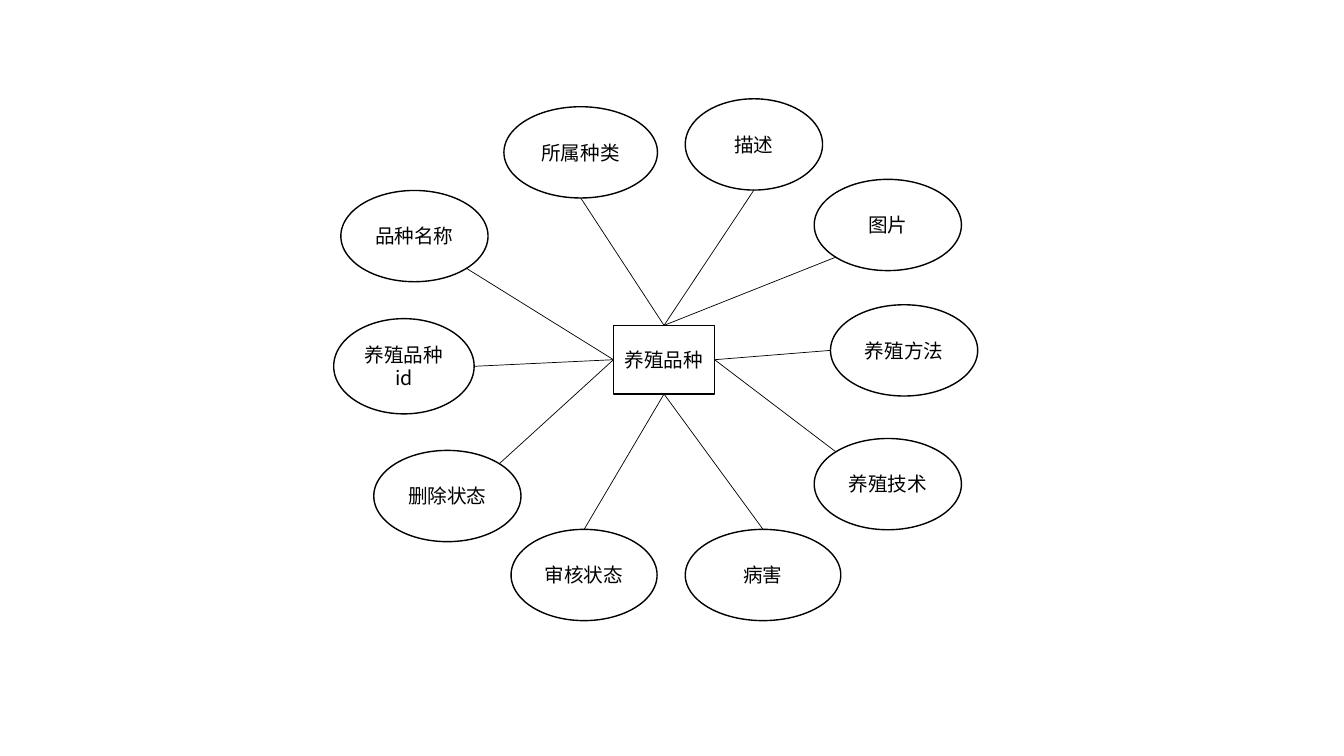
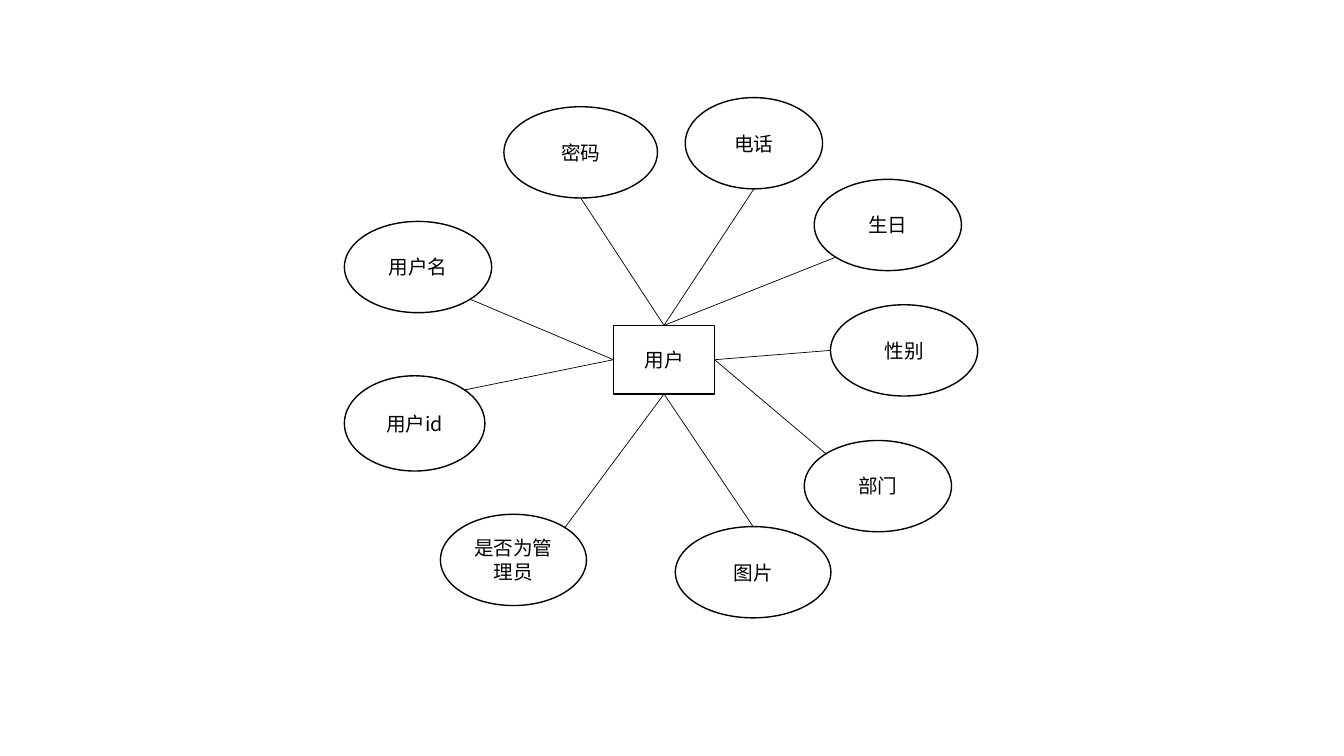
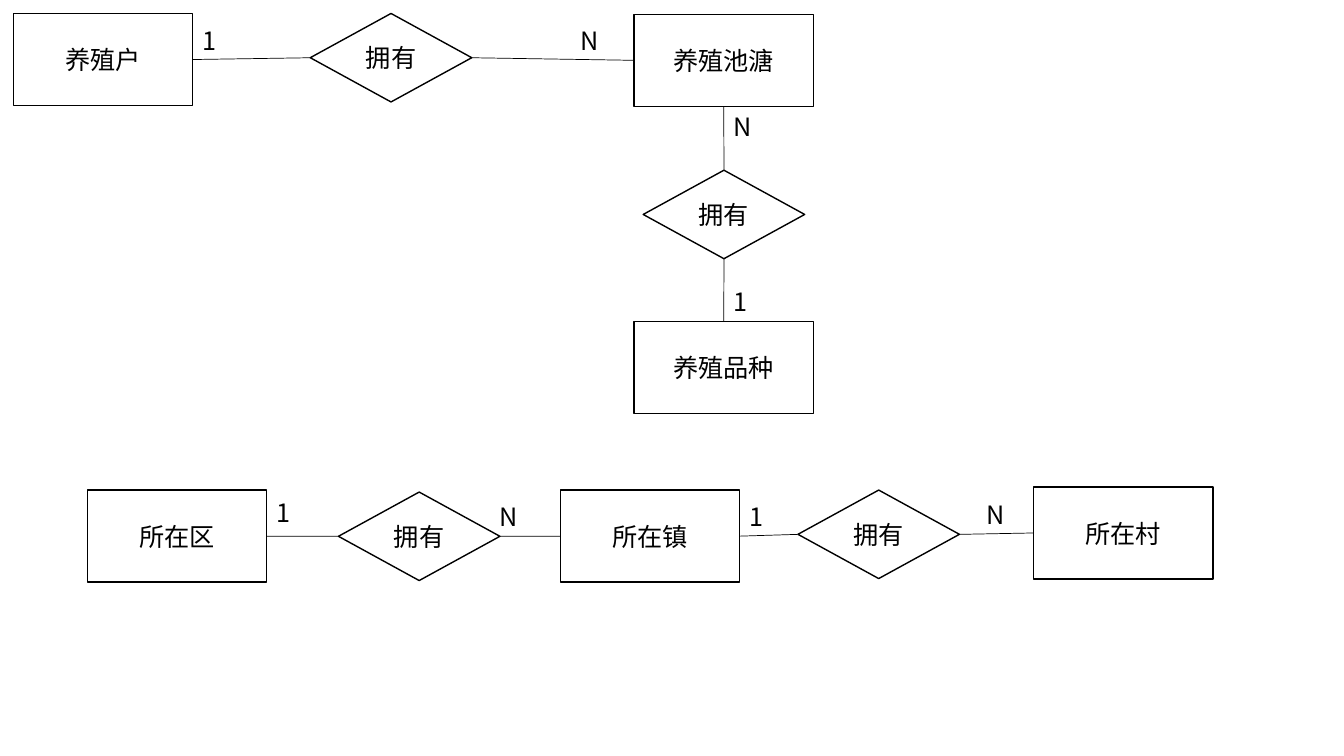
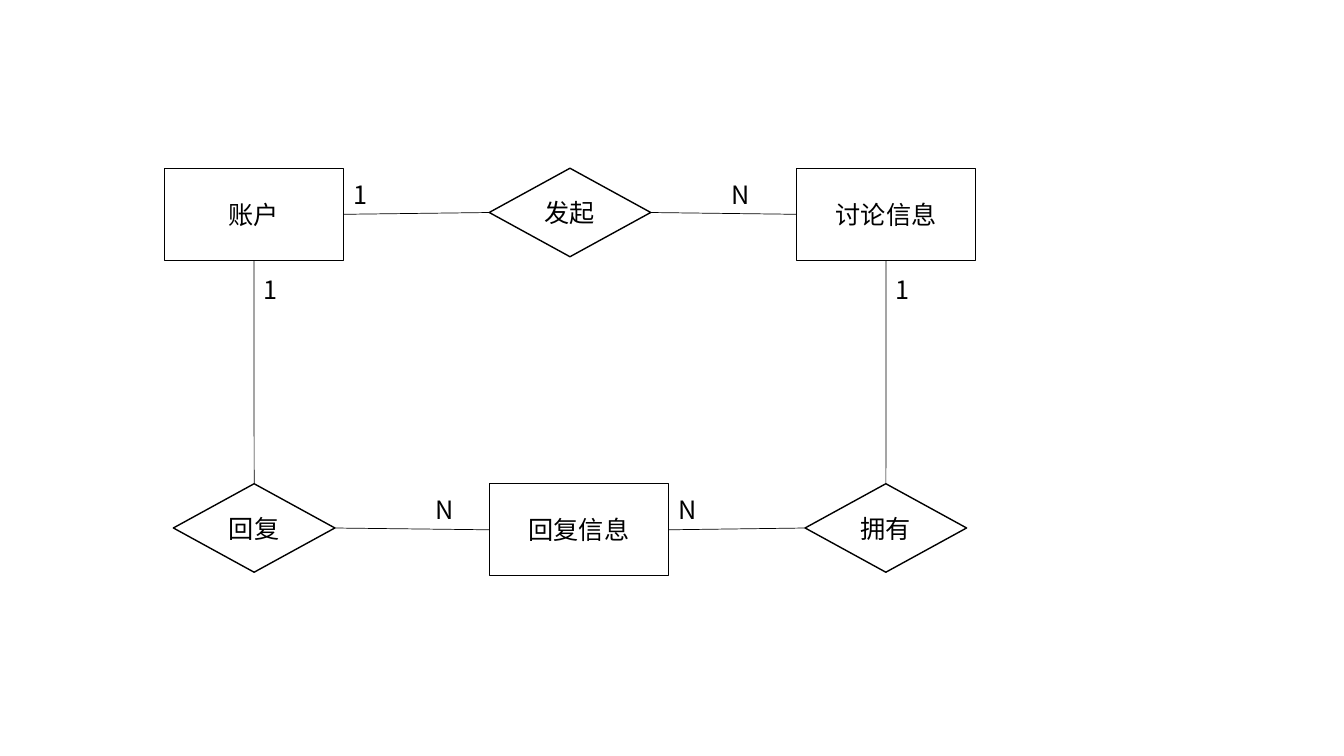
import pptx
import pptx.dml.color
import pptx.enum.shapes
import pptx.enum.text
import pptx.oxml.ns
import pptx.util
import lxml.etree

Cm = pptx.util.Cm
Pt = pptx.util.Pt
PRESET = pptx.enum.shapes.MSO_SHAPE
TEXT = pptx.enum.text

COLORS = {"paper": "FFFFFF", "ink": "000000"}
FONT = "Noto Sans CJK SC"
SMALL, LARGE = 14, 18

# Sizes in centimetres
HUB_BOX = (15.46, 8.2, 2.55, 1.73)
ENTITY_SIZE = (4.52, 2.32)
RELATION_SIZE = (4.07, 2.23)
LABEL_SIZES = {"1": (1.85, 1.02), "N": (1.6, 1.02)}
ATTRIBUTE_HEIGHT = 2.3
KEY_SIZE = (3.54, 2.4)

# Points on an outline, as shares of width and height
NEAR, FAR = 0.15, 0.85
SIDES = {
    "top": (0.5, 0), "bottom": (0.5, 1), "left": (0, 0.5), "right": (1, 0.5),
    "top left": (NEAR, NEAR), "top right": (FAR, NEAR),
    "bottom left": (NEAR, FAR), "bottom right": (FAR, FAR),
}


def color(name):
    return pptx.dml.color.RGBColor.from_string(COLORS[name])


def set_values(target, values):
    for name, value in values.items():
        setattr(target, name, value)


class Diagram:
    """Draws entity-relationship elements on the current slide."""

    def __init__(self):
        self.presentation = pptx.Presentation()
        set_values(self.presentation, {"slide_width": Cm(33.87), "slide_height": Cm(19.05)})
        self.slide = None

    def add_slide(self):
        self.slide = self.presentation.slides.add_slide(self.presentation.slide_layouts[6])

    def fill_text(self, shape, text, size, alignment, frame_format):
        frame = shape.text_frame
        set_values(frame, frame_format)
        frame.text = text
        for paragraph in frame.paragraphs:
            paragraph.alignment = alignment
            for run in paragraph.runs:
                set_values(run.font, {"name": FONT, "size": Pt(size)})
                run.font.color.rgb = color("ink")
                east_asian = lxml.etree.SubElement(
                    run.font._element, pptx.oxml.ns.qn("a:ea"))
                east_asian.set("typeface", FONT)

    def node(self, preset, text, box, size):
        shape = self.slide.shapes.add_shape(preset, *map(Cm, box))
        shape.shadow.inherit = False
        shape.fill.solid()
        shape.fill.fore_color.rgb = color("paper")
        shape.line.color.rgb = color("ink")
        shape.line.width = Pt(1)
        self.fill_text(shape, text, size, TEXT.PP_ALIGN.CENTER,
                       {"word_wrap": True, "vertical_anchor": TEXT.MSO_ANCHOR.MIDDLE})
        return shape

    def hub(self, text):
        return self.node(PRESET.RECTANGLE, text, HUB_BOX, SMALL)

    def attribute(self, text, left, top, width, height=ATTRIBUTE_HEIGHT):
        return self.node(PRESET.OVAL, text, (left, top, width, height), SMALL)

    def entity(self, text, left, top):
        return self.node(PRESET.RECTANGLE, text, (left, top, *ENTITY_SIZE), LARGE)

    def relation(self, text, left, top):
        return self.node(PRESET.FLOWCHART_DECISION, text, (left, top, *RELATION_SIZE), LARGE)

    def label(self, text, left, top):
        shape = self.slide.shapes.add_textbox(*map(Cm, (left, top, *LABEL_SIZES[text])))
        self.fill_text(shape, text, LARGE, TEXT.PP_ALIGN.LEFT,
                       {"word_wrap": True, "auto_size": TEXT.MSO_AUTO_SIZE.SHAPE_TO_FIT_TEXT})

    def link(self, start, start_side, end, end_side):
        points = []
        for shape, side in ((start, start_side), (end, end_side)):
            across, down = SIDES[side]
            points += [int(shape.left + across * shape.width),
                       int(shape.top + down * shape.height)]
        connector = self.slide.shapes.add_connector(
            pptx.enum.shapes.MSO_CONNECTOR.STRAIGHT, *points)
        connector.line.color.rgb = color("ink")
        connector.line.width = Pt(0.5)
        lxml.etree.SubElement(connector._element.spPr, pptx.oxml.ns.qn("a:effectLst"))

    def attribute_slide(self, name, attributes):
        """One entity in the middle, linked to the attributes around it."""
        self.add_slide()
        hub = self.hub(name)
        ovals = [self.attribute(text, *box) for text, box, _, _ in attributes]
        for oval, (_, _, side, hub_side) in zip(ovals, attributes):
            self.link(oval, side, hub, hub_side)

    def relation_slide(self, entities, relations, links, labels):
        """Entities joined through relations, with cardinality labels."""
        self.add_slide()
        nodes = {key: self.entity(*values) for key, values in entities.items()}
        nodes.update({key: self.relation(*values) for key, values in relations.items()})
        for start, start_side, end, end_side in links:
            self.link(nodes[start], start_side, nodes[end], end_side)
        for values in labels:
            self.label(*values)


diagram = Diagram()

# Breed and its attributes: text, box, own side, side of the entity
diagram.attribute_slide("养殖品种", [
    ("养殖品种\nid", (8.41, 8.03, *KEY_SIZE), "right", "left"),
    ("品种名称", (8.59, 4.8, 3.71), "bottom right", "left"),
    ("所属种类", (12.7, 2.69, 3.87), "bottom", "top"),
    ("描述", (17.27, 2.49, 3.46), "bottom", "top"),
    ("图片", (20.52, 4.52, 3.71), "bottom left", "top"),
    ("养殖方法", (20.93, 7.68, 3.71), "left", "right"),
    ("养殖技术", (20.52, 11.05, 3.71), "top left", "right"),
    ("病害", (17.27, 13.34, 3.92), "top", "bottom"),
    ("删除状态", (9.42, 11.35, 3.71), "top right", "left"),
    ("审核状态", (12.88, 13.34, 3.68), "top", "bottom"),
])

# User and its attributes
diagram.attribute_slide("用户", [
    ("用户id", (8.68, 9.47, *KEY_SIZE), "top right", "left"),
    ("用户名", (8.68, 5.58, 3.71), "bottom right", "left"),
    ("密码", (12.7, 2.69, 3.87), "bottom", "top"),
    ("电话", (17.27, 2.46, 3.46), "bottom", "top"),
    ("生日", (20.52, 4.52, 3.71), "bottom left", "top"),
    ("性别", (20.93, 7.68, 3.71), "left", "right"),
    ("部门", (20.27, 11.1, 3.71), "top left", "right"),
    ("图片", (17.02, 13.27, 3.92), "top", "bottom"),
    ("是否为管理员", (11.1, 12.96, 3.68), "top right", "bottom"),
])

# Farmers, ponds and breeds; districts, towns and villages
diagram.relation_slide(
    entities={
        "farmer": ("养殖户", 0.34, 0.34),
        "breed": ("养殖品种", 15.98, 8.1),
        "pond": ("养殖池溏", 15.98, 0.36),
        "district": ("所在区", 2.2, 12.35),
        "town": ("所在镇", 14.12, 12.35),
        "village": ("所在村", 26.05, 12.27),
    },
    relations={
        "farmer has pond": ("拥有", 7.82, 0.34),
        "pond has breed": ("拥有", 16.21, 4.29),
        "district has town": ("拥有", 8.53, 12.4),
        "town has village": ("拥有", 20.11, 12.35),
    },
    links=[
        ("farmer", "right", "farmer has pond", "left"),
        ("farmer has pond", "right", "pond", "left"),
        ("pond", "bottom", "pond has breed", "top"),
        ("pond has breed", "bottom", "breed", "top"),
        ("district", "right", "district has town", "left"),
        ("district has town", "right", "town", "left"),
        ("town", "right", "town has village", "left"),
        ("town has village", "right", "village", "left"),
    ],
    labels=[
        ("1", 4.86, 0.51), ("N", 14.38, 0.51), ("N", 18.24, 2.69), ("1", 18.24, 7.09),
        ("1", 6.71, 12.4), ("N", 12.34, 12.5), ("1", 18.63, 12.52), ("N", 24.61, 12.47),
    ],
)

# Accounts, discussions and replies
UPPER, LOWER = 4.24, 12.19
diagram.relation_slide(
    entities={
        "account": ("账户", 4.14, UPPER),
        "reply": ("回复信息", 12.33, LOWER),
        "discussion": ("讨论信息", 20.07, UPPER),
    },
    relations={
        "starts": ("发起", 12.33, UPPER),
        "replies": ("回复", 4.37, LOWER),
        "has": ("拥有", 20.29, LOWER),
    },
    links=[
        ("account", "right", "starts", "left"),
        ("starts", "right", "discussion", "left"),
        ("account", "bottom", "replies", "top"),
        ("replies", "right", "reply", "left"),
        ("reply", "right", "has", "left"),
        ("discussion", "bottom", "has", "top"),
    ],
    labels=[
        ("1", 8.66, 4.39), ("N", 18.19, 4.39), ("1", 6.4, 6.78),
        ("N", 10.72, 12.32), ("N", 16.84, 12.32), ("1", 22.33, 6.78),
    ],
)

diagram.presentation.save("out.pptx")
